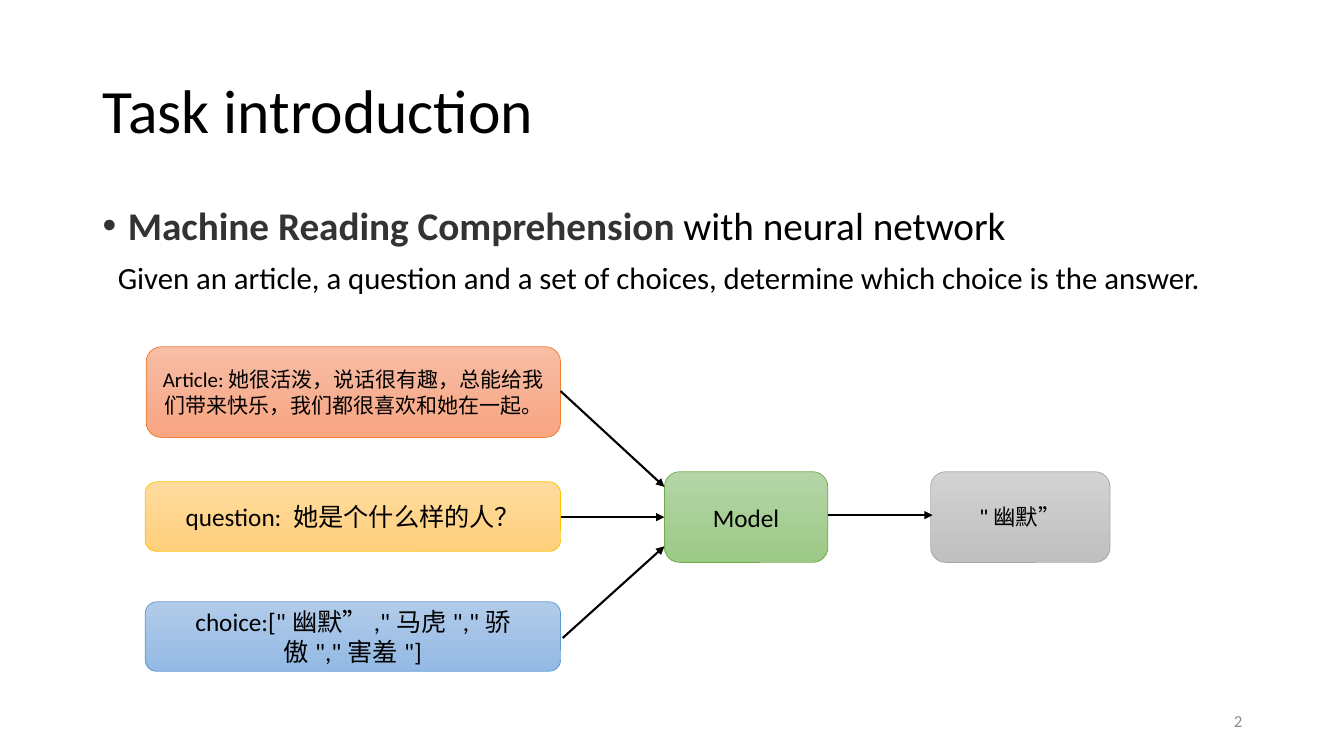
from dataclasses import dataclass

from lxml import etree
from pptx import Presentation
from pptx import util as u
from pptx.dml.color import RGBColor
from pptx.enum import shapes, text
from pptx.oxml import ns


@dataclass(frozen=True)
class Theme:
    """Colours, fonts and type sizes of the slide."""
    font: str = "Calibri"
    alt: str = "Arial"
    ink: str = "000000"
    dark: str = "333333"
    mute: str = "8C8C8C"
    blue: tuple = ("B1CBE9", "93B9E4", "5B9BD5")
    coral: tuple = ("F7BDA5", "F8A582", "ED7D31")
    gold: tuple = ("FFDB9E", "FFD07C", "FFC000")
    green: tuple = ("B5D5A7", "9CC987", "70AD47")
    grey: tuple = ("D2D2D2", "C0C0C0", "A5A5A5")
    title: int = 44
    head: int = 28
    lead: int = 22
    label: int = 18
    answer: int = 16
    small: int = 15
    page: int = 12


def dress(item, form):
    """Set each named value on the item."""
    for name, value in form.items():
        setattr(item, name, value)


def child(node, tag, **attrs):
    """Append an XML child with attributes."""
    return etree.SubElement(node, ns.qn(tag), attrs)


class Board:
    """Draws styled elements on one slide."""

    def __init__(self, deck, theme):
        """Add a title-only slide to the deck."""
        self.theme = theme
        self.slide = deck.slides.add_slide(deck.slide_layouts[5])

    def put(self, par, runs, **form):
        """Fill a paragraph with (words, size, format) runs."""
        dress(par, form)
        for words, size, look in runs:
            run = par.add_run()
            run.text = words
            look = {"name": self.theme.font, "color": self.theme.ink, **look}
            run.font.color.rgb = RGBColor.from_string(look.pop("color"))
            dress(run.font, {"size": u.Pt(size), **look})

    def title(self, words, box):
        """Place and format the title."""
        item = self.slide.shapes.title
        dress(item, dict(zip(("left", "top", "width", "height"), map(u.Inches, box))))
        item.text_frame.vertical_anchor = text.MSO_ANCHOR.MIDDLE
        self.put(item.text_frame.paragraphs[0], [(words, self.theme.title, {})],
                 alignment=text.PP_ALIGN.LEFT, line_spacing=0.9)

    def area(self, box, anchor=text.MSO_ANCHOR.TOP):
        """Add a wrapping text box and return its frame."""
        frame = self.slide.shapes.add_textbox(*map(u.Inches, box)).text_frame
        dress(frame, {"word_wrap": True, "vertical_anchor": anchor})
        return frame

    def body(self, box, head, lead):
        """Add a bulleted heading with an indented line below."""
        frame = self.area(box)
        form = {"line_spacing": 0.9, "space_before": u.Pt(10)}
        first, second = frame.paragraphs[0], frame.add_paragraph()
        self.put(first, head, **form)
        self.put(second, lead, **form)
        props = first._p.get_or_add_pPr()
        for name, value in {"marL": 0.25, "indent": -0.25}.items():
            props.set(name, str(u.Inches(value)))
        child(props, "a:buFont", typeface=self.theme.alt)
        child(props, "a:buChar", char="•")
        second._p.get_or_add_pPr().set("marL", str(u.Inches(0.15)))

    def page(self, words, box):
        """Add the page number."""
        frame = self.area(box, text.MSO_ANCHOR.MIDDLE)
        self.put(frame.paragraphs[0], [(words, self.theme.page, {"color": self.theme.mute})],
                 alignment=text.PP_ALIGN.RIGHT)

    def node(self, box, tint, runs):
        """Add a rounded box with a vertical gradient."""
        item = self.slide.shapes.add_shape(
            shapes.MSO_SHAPE.ROUNDED_RECTANGLE, *map(u.Inches, box))
        item.shadow.inherit = False
        item.fill.gradient()
        item.fill.gradient_angle = 270
        for stop, place, tone in zip(item.fill.gradient_stops, (0, 1), tint):
            stop.position = place
            stop.color.rgb = RGBColor.from_string(tone)
        item.line.color.rgb = RGBColor.from_string(tint[2])
        item.line.width = u.Pt(0.5)
        frame = item.text_frame
        dress(frame, {"word_wrap": True, "vertical_anchor": text.MSO_ANCHOR.MIDDLE})
        self.put(frame.paragraphs[0], runs, alignment=text.PP_ALIGN.CENTER)

    def arrow(self, *ends):
        """Add a straight arrow."""
        item = self.slide.shapes.add_connector(
            shapes.MSO_CONNECTOR.STRAIGHT, *map(u.Inches, ends))
        item.line.color.rgb = RGBColor.from_string(self.theme.ink)
        item.line.width = u.Pt(1.5)
        props = item._element.spPr
        child(props.find(ns.qn("a:ln")), "a:tailEnd", type="triangle")
        child(props, "a:effectLst")


def main():
    """Build and save the slide."""
    deck = Presentation()
    dress(deck, {"slide_width": u.Inches(13.33), "slide_height": u.Inches(7.5)})
    look = Theme()
    board = Board(deck, look)
    board.title("Task introduction", (0.92, 0.4, 11.5, 1.45))
    board.body(
        (0.92, 2, 11.5, 4.76),
        [("Machine Reading Comprehension ", look.head, {"bold": True, "color": look.dark}),
         ("with neural network", look.head, {})],
        [("Given an article, a question and a set of choices, "
          "determine which choice is the answer.", look.lead, {})])
    board.page("2", (9.42, 6.95, 3, 0.4))

    alt = {"name": look.alt}
    nodes = [
        ((1.44, 5.97, 4.12, 0.69), look.blue,
         [('choice:["幽默”,"马虎","骄傲","害羞"]', look.label, {})]),
        ((1.45, 3.44, 4.11, 0.9), look.coral,
         [("Article:", look.small, {}),
          ("她很活泼，说话很有趣，总能给我们带来快乐，我们都很喜欢和她在一起。", look.small, alt)]),
        ((1.44, 4.78, 4.12, 0.69), look.gold,
         [("question: 她是个什么样的人？", look.label, {})]),
        ((6.59, 4.68, 1.62, 0.9), look.green, [("Model", look.label, {})]),
        ((9.23, 4.68, 1.78, 0.9), look.grey, [('"幽默”', look.answer, alt)]),
    ]
    for box, tint, runs in nodes:
        board.node(box, tint, runs)
    for ends in ((5.56, 3.88, 6.59, 4.83), (5.56, 5.13, 6.59, 5.13),
                 (5.58, 6.33, 6.59, 5.42), (8.21, 5.11, 9.25, 5.11)):
        board.arrow(*ends)
    deck.save("out.pptx")


if __name__ == "__main__":
    main()
